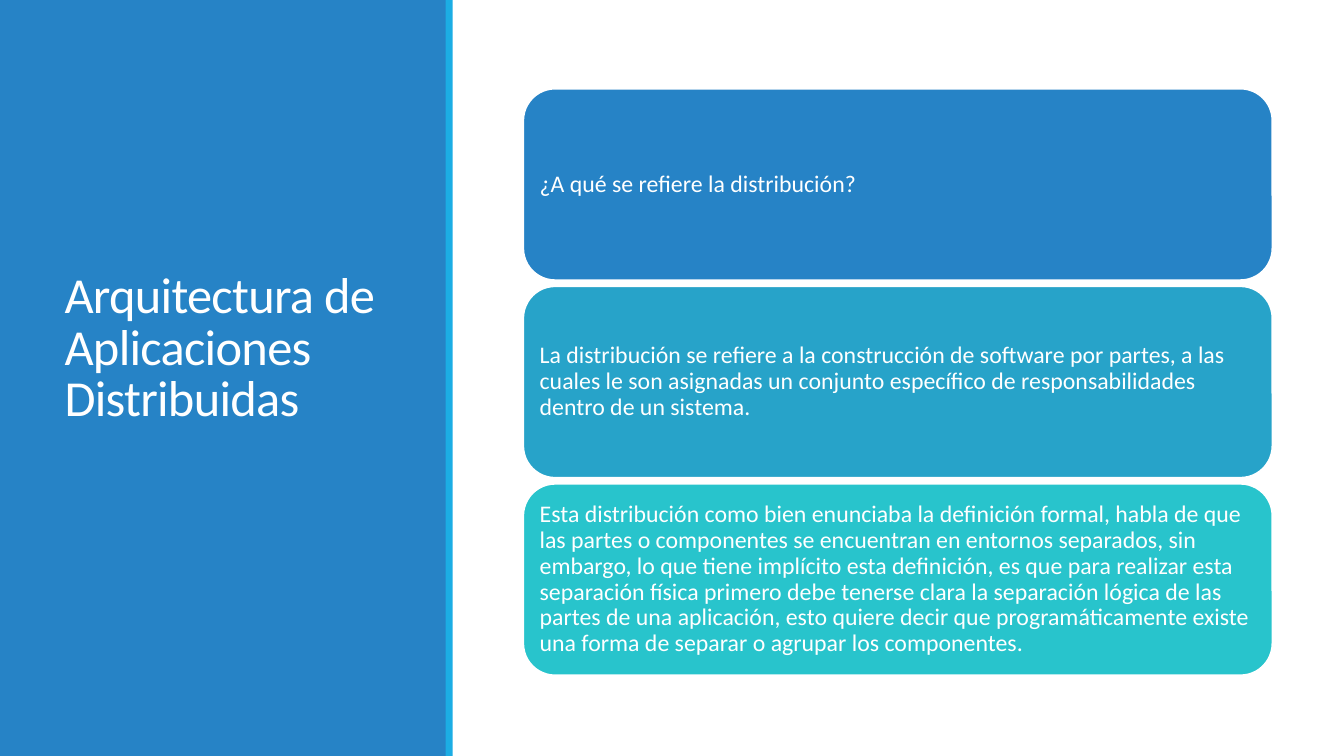
from dataclasses import dataclass

from pptx import Presentation
from pptx.dml.color import RGBColor
from pptx.enum.shapes import MSO_SHAPE as SHAPE
from pptx.enum.text import MSO_ANCHOR as ANCHOR, MSO_AUTO_SIZE as FIT, PP_ALIGN as ALIGN
from pptx.util import Inches, Pt


@dataclass(frozen=True)
class Theme:
    font: str = "Calibri"
    title_size: float = 36
    body_size: float = 17
    white: str = "FFFFFF"
    panel: str = "2683C6"
    accent: str = "1CADE4"
    cards: tuple = ("2683C6", "27A3C9", "28C4CC")


class SlideBuilder:
    def __init__(self, prs, theme):
        self.theme = theme
        self.s = prs.slides.add_slide(prs.slide_layouts[5])

    def shape(self, kind, box, fill):
        sp = self.s.shapes.add_shape(kind, *map(Inches, box))
        sp.shadow.inherit = False
        sp.fill.solid()
        sp.fill.fore_color.rgb = RGBColor.from_string(fill)
        sp.line.fill.background()
        return sp

    def add_text(self, sp, text, size, spacing, insets):
        tf = sp.text_frame
        tf.word_wrap = True
        tf.auto_size = FIT.NONE
        tf.vertical_anchor = ANCHOR.MIDDLE
        tf.margin_left, tf.margin_top, tf.margin_right, tf.margin_bottom = map(Inches, insets)
        p = tf.paragraphs[0]
        p.alignment = ALIGN.LEFT
        p.line_spacing = spacing
        r = p.add_run()
        r.text = text
        r.font.name = self.theme.font
        r.font.size = Pt(size)
        r.font.color.rgb = RGBColor.from_string(self.theme.white)
        return r

    def title(self, text, box):
        sp = self.s.shapes.title
        sp.left, sp.top, sp.width, sp.height = map(Inches, box)
        # The deep bottom inset lifts the title by half a line
        r = self.add_text(sp, text, self.theme.title_size, 0.85, (0.1, 0.05, 0.1, 0.56))
        r._r.get_or_add_rPr().set("spc", "-50")
        # Bring the title in front of the side panel
        self.s.shapes._spTree.append(sp._element)

    def card(self, text, box, fill):
        sp = self.shape(SHAPE.ROUNDED_RECTANGLE, box, fill)
        sp.line.color.rgb = RGBColor.from_string(self.theme.white)
        sp.line.width = Pt(1.25)
        self.add_text(sp, text, self.theme.body_size, 0.9, (0.07,) * 4)


CARD_TEXTS = (
    "¿A qué se refiere la distribución?",
    "La distribución se refiere a la construcción de software por partes, a las cuales "
    "le son asignadas un conjunto específico de responsabilidades dentro de un sistema.",
    "Esta distribución como bien enunciaba la definición formal, habla de que las partes "
    "o componentes se encuentran en entornos separados, sin embargo, lo que tiene "
    "implícito esta definición, es que para realizar esta separación física primero debe "
    "tenerse clara la separación lógica de las partes de una aplicación, esto quiere decir "
    "que programáticamente existe una forma de separar o agrupar los componentes.",
)


def main():
    prs = Presentation()
    prs.slide_width, prs.slide_height = Inches(13.33), Inches(7.5)
    theme = Theme()
    slide = SlideBuilder(prs, theme)

    # Side panel with title and accent stripe
    slide.shape(SHAPE.RECTANGLE, (0, 0, 4.43, 7.5), theme.panel)
    slide.title("Arquitectura de Aplicaciones Distribuidas", (0.54, 0.57, 3.37, 6.31))
    slide.shape(SHAPE.RECTANGLE, (4.42, 0, 0.07, 7.5), theme.accent)

    # Stacked cards
    top, height, gap = 0.88, 1.9, 0.06
    for i, (text, fill) in enumerate(zip(CARD_TEXTS, theme.cards)):
        slide.card(text, (5.19, top + i * (height + gap), 7.43, height), fill)

    prs.save("out.pptx")


if __name__ == "__main__":
    main()
